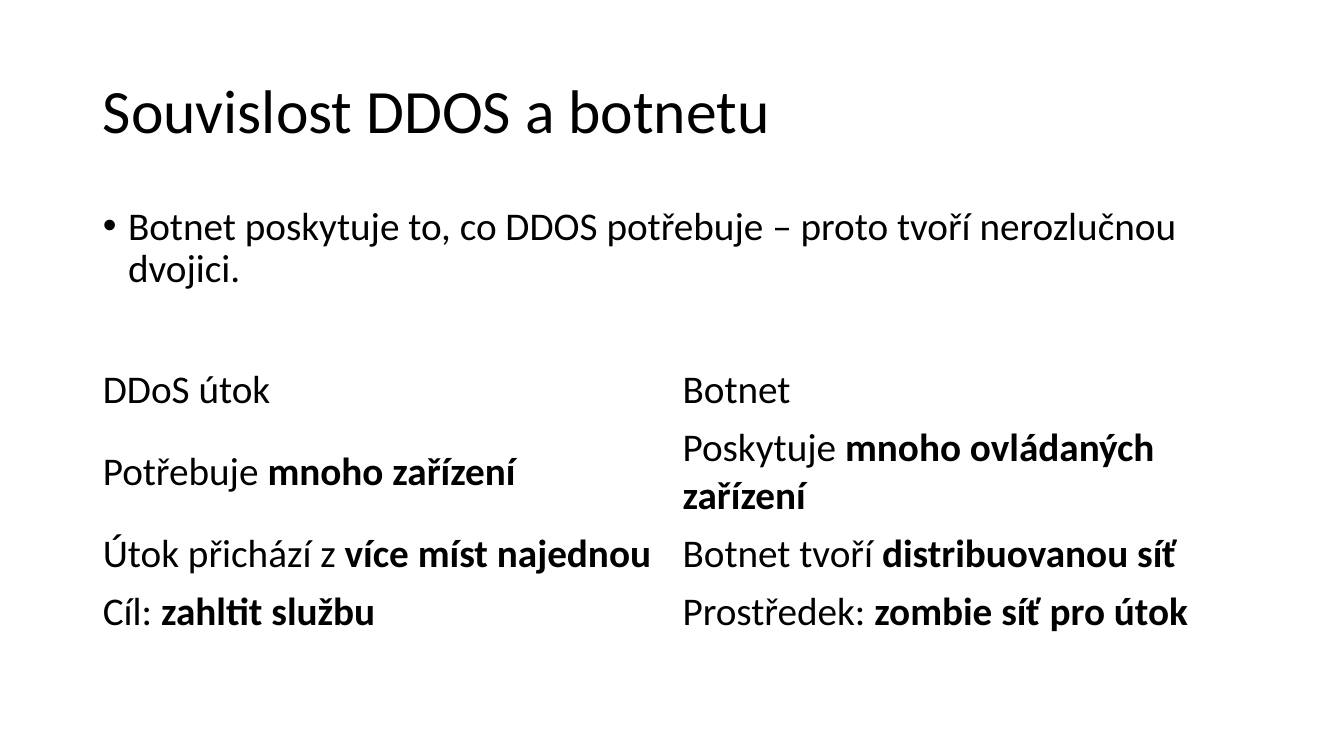
from pptx import Presentation
from pptx import util as u
from pptx.dml.color import RGBColor
from pptx.enum import text
from lxml import etree

BLACK = RGBColor(0, 0, 0)
FONT = "Calibri"
LEFT, WIDTH = u.Inches(0.92), u.Inches(11.5)
ROW_HEIGHTS = (0.57, 1.05, 0.57, 0.57)
COMPARISON = (
    (("DDoS útok", ""), ("Botnet", "")),
    (("Potřebuje ", "mnoho zařízení"), ("Poskytuje ", "mnoho ovládaných zařízení")),
    (("Útok přichází z ", "více míst najednou"), ("Botnet tvoří ", "distribuovanou síť")),
    (("Cíl: ", "zahltit službu"), ("Prostředek: ", "zombie síť pro útok")),
)


def format_span(span, size, bold=False):
    """Apply the slide's font to one run."""
    span.font.name = FONT
    span.font.size = u.Pt(size)
    span.font.bold = bold
    span.font.color.rgb = BLACK


def fill_placeholder(box, top, height, wording, size, anchor):
    """Place a placeholder, write its text and return the paragraph."""
    box.left, box.top = LEFT, u.Inches(top)
    box.width, box.height = WIDTH, u.Inches(height)
    frame = box.text_frame
    frame.text = wording
    frame.word_wrap = True
    frame.auto_size = text.MSO_AUTO_SIZE.NONE
    frame.vertical_anchor = anchor
    para = frame.paragraphs[0]
    para.alignment = text.PP_ALIGN.LEFT
    para.line_spacing = 0.9
    format_span(para.runs[0], size)
    return para


def add_bullet(para):
    """Give a paragraph a round bullet with a hanging indent."""
    para.space_before = u.Pt(10)
    properties = para._p.get_or_add_pPr()
    properties.set("marL", str(u.Inches(0.25)))
    properties.set("indent", str(u.Inches(-0.25)))
    namespace = properties.nsmap["a"]
    etree.SubElement(properties, f"{{{namespace}}}buFont", typeface="Arial")
    etree.SubElement(properties, f"{{{namespace}}}buChar", char="•")


def fill_cell(cell, plain, strong):
    """Write a plain lead and its bold ending into a clear cell."""
    cell.fill.background()
    cell.vertical_anchor = text.MSO_ANCHOR.MIDDLE
    para = cell.text_frame.paragraphs[0]
    for wording, bold in ((plain, False), (strong, True)):
        if wording:
            span = para.add_run()
            span.text = wording
            format_span(span, 28, bold)


def add_comparison(page):
    """Add the two-column table of attack and botnet."""
    frame = page.shapes.add_table(
        len(COMPARISON), 2, LEFT, u.Inches(3.58), WIDTH, u.Inches(sum(ROW_HEIGHTS)))
    table = frame.table
    table.first_row = False
    table.horz_banding = False
    for row, height, entries in zip(table.rows, ROW_HEIGHTS, COMPARISON):
        row.height = u.Inches(height)
        for cell, entry in zip(row.cells, entries):
            fill_cell(cell, *entry)


def main():
    """Build and save the slide."""
    deck = Presentation()
    deck.slide_width, deck.slide_height = u.Inches(13.33), u.Inches(7.5)
    page = deck.slides.add_slide(deck.slide_layouts[1])
    fill_placeholder(page.shapes.title, 0.4, 1.45, "Souvislost DDOS a botnetu",
                     44, text.MSO_ANCHOR.MIDDLE)
    point = fill_placeholder(
        page.placeholders[1], 2, 4.76,
        "Botnet poskytuje to, co DDOS potřebuje – proto tvoří nerozlučnou dvojici.",
        28, text.MSO_ANCHOR.TOP)
    add_bullet(point)
    add_comparison(page)
    deck.save("out.pptx")


if __name__ == "__main__":
    main()
